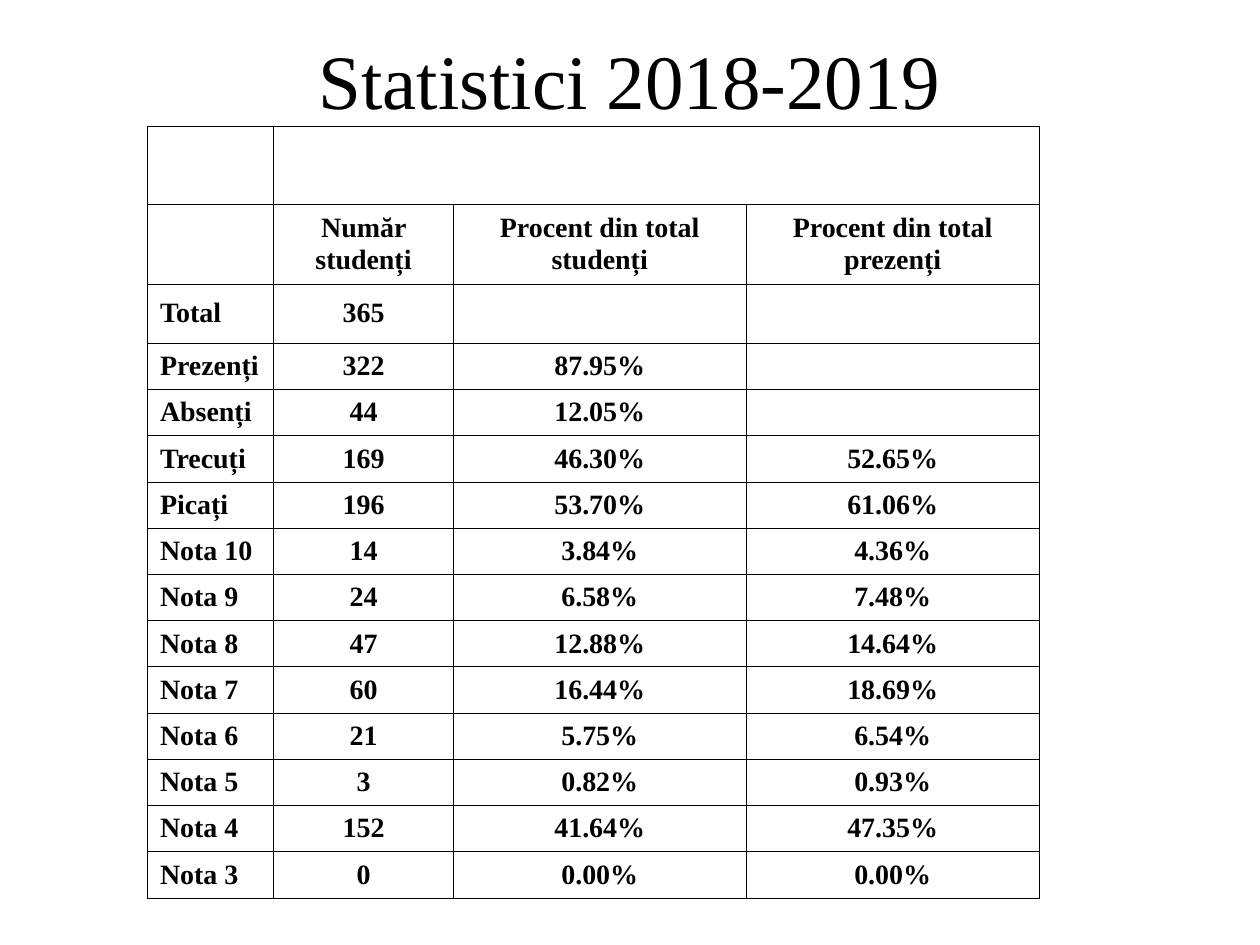
from lxml.etree import SubElement
from pptx import Presentation
from pptx.dml.color import RGBColor
from pptx.enum.text import MSO_ANCHOR, PP_ALIGN
from pptx.oxml.ns import qn
from pptx.util import Inches, Pt

COLUMN_WIDTHS = [1, 1.43, 2.32, 2.33]
HEADER_HEIGHTS = [0.62, 0.63]
TOTAL_HEIGHT = 0.47
GRADE_HEIGHT = 4.4 / 12
ROWS = [
    ["", "", "", ""],
    ["", "Număr studenți", "Procent din total studenți", "Procent din total prezenți"],
    ["Total", "365", "", ""],
    ["Prezenți", "322", "87.95%", ""],
    ["Absenți", "44", "12.05%", ""],
    ["Trecuți", "169", "46.30%", "52.65%"],
    ["Picați", "196", "53.70%", "61.06%"],
    ["Nota 10", "14", "3.84%", "4.36%"],
    ["Nota 9", "24", "6.58%", "7.48%"],
    ["Nota 8", "47", "12.88%", "14.64%"],
    ["Nota 7", "60", "16.44%", "18.69%"],
    ["Nota 6", "21", "5.75%", "6.54%"],
    ["Nota 5", "3", "0.82%", "0.93%"],
    ["Nota 4", "152", "41.64%", "47.35%"],
    ["Nota 3", "0", "0.00%", "0.00%"],
]


def color(value):
    return RGBColor.from_string(value)


def apply(target, values):
    for name, value in values.items():
        setattr(target, name, value)


class StatisticsPage:
    """Draws the title and the ruled table of exam statistics on one page."""

    ink = "000000"
    face = "Times New Roman"
    rule = Pt(0.34)

    def __init__(self, page):
        self.page = page

    def label(self, para, text, size, bold, align):
        para.alignment = align
        span = para.add_run()
        span.text = text
        apply(span.font, {"name": self.face, "size": Pt(size), "bold": bold})
        span.font.color.rgb = color(self.ink)

    def title(self, text, left, top, width, height):
        box = self.page.shapes.add_textbox(*map(Inches, (left, top, width, height)))
        apply(box.text_frame, {"word_wrap": True, "vertical_anchor": MSO_ANCHOR.MIDDLE})
        self.label(box.text_frame.paragraphs[0], text, 44, False, PP_ALIGN.CENTER)

    def border(self, cell):
        properties = cell._tc.get_or_add_tcPr()
        for side in ("a:lnL", "a:lnR", "a:lnT", "a:lnB"):
            line = SubElement(properties, qn(side), w=str(self.rule))
            fill = SubElement(line, qn("a:solidFill"))
            SubElement(fill, qn("a:srgbClr"), val=self.ink)

    def cell(self, cell, text, align):
        side = Inches(0.01 if text.endswith("%") else 0.1)
        edge = Inches(0.05 if text else 0.01)
        apply(cell, {
            "margin_left": side, "margin_right": side,
            "margin_top": edge, "margin_bottom": edge,
            "vertical_anchor": MSO_ANCHOR.MIDDLE,
        })
        self.border(cell)
        cell.fill.background()
        if text:
            self.label(cell.text_frame.paragraphs[0], text, 16, True, align)

    def table(self, rows, left, top, widths, heights):
        frame = self.page.shapes.add_table(
            len(rows), len(widths), Inches(left), Inches(top),
            Inches(sum(widths)), Inches(sum(heights)))
        table = frame.table
        apply(table, {"first_row": False, "horz_banding": False})
        for column, width in zip(table.columns, widths):
            column.width = Inches(width)
        for row, height, texts in zip(table.rows, heights, rows):
            row.height = Inches(height)
            for index, (cell, text) in enumerate(zip(row.cells, texts)):
                self.cell(cell, text, PP_ALIGN.CENTER if index else PP_ALIGN.LEFT)
        table.cell(0, 1).merge(table.cell(0, len(widths) - 1))


def main():
    deck = Presentation()
    apply(deck, {"slide_width": Inches(10), "slide_height": Inches(7.5)})
    statistics = StatisticsPage(deck.slides.add_slide(deck.slide_layouts[6]))
    statistics.title("Statistici 2018-2019", 0.75, 0, 8.5, 1.25)
    grade_count = len(ROWS) - len(HEADER_HEIGHTS) - 1
    heights = HEADER_HEIGHTS + [TOTAL_HEIGHT] + [GRADE_HEIGHT] * grade_count
    statistics.table(ROWS, 1.17, 1, COLUMN_WIDTHS, heights)
    deck.save("out.pptx")


if __name__ == "__main__":
    main()
